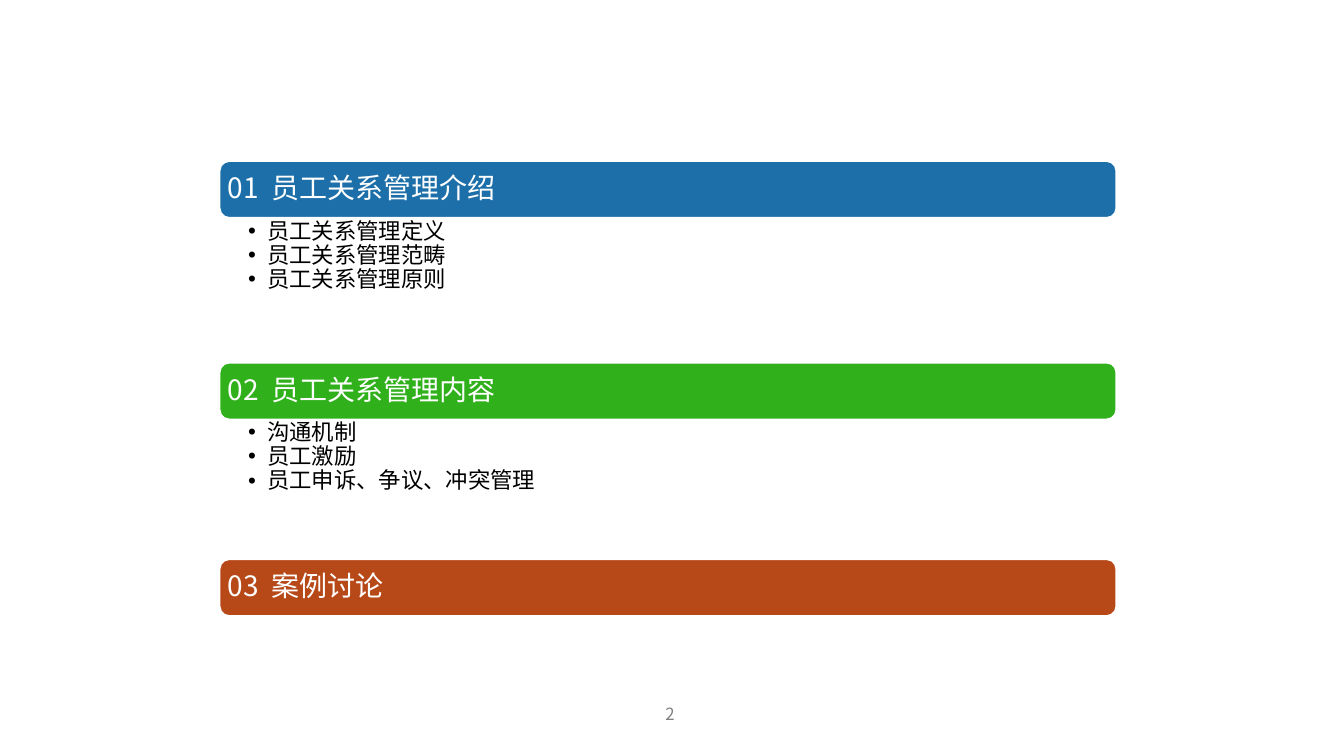
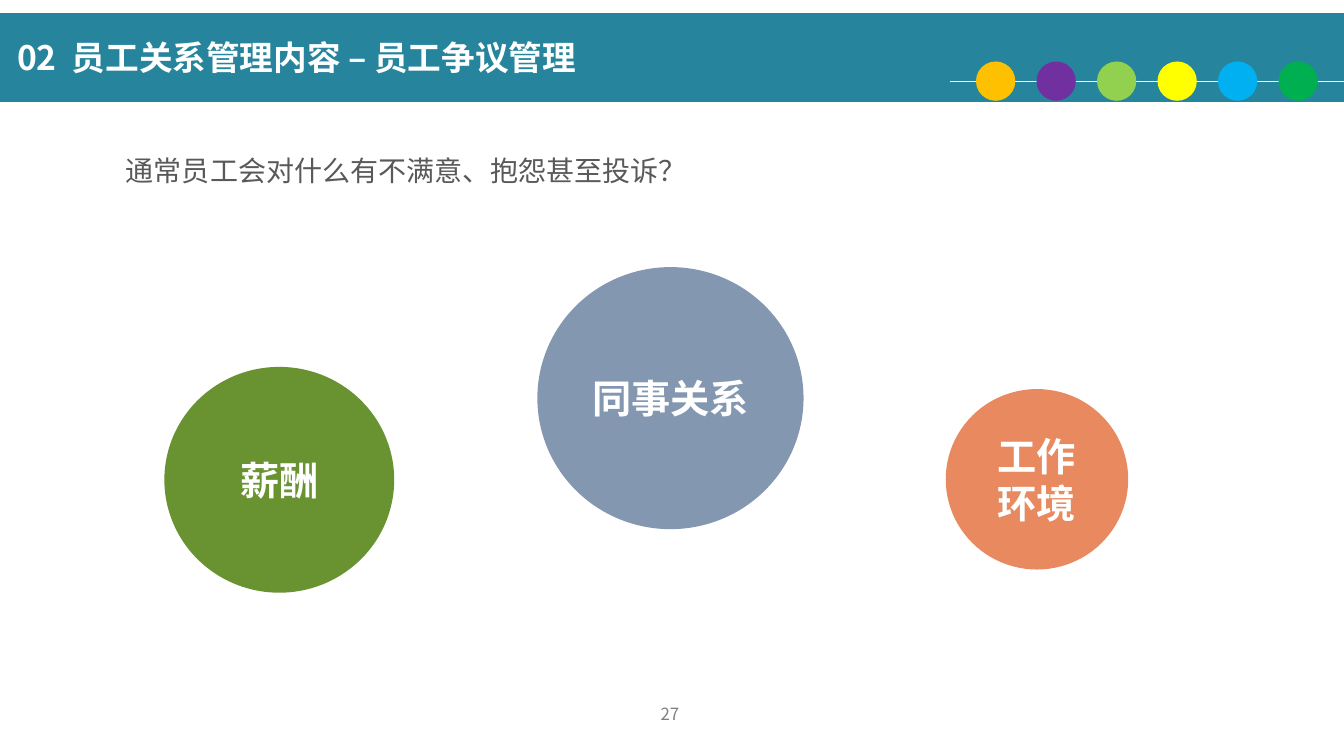
from pptx import Presentation
from pptx import util as u
from pptx.dml.color import RGBColor
from pptx.enum import shapes, text
from pptx.oxml.ns import qn
from lxml import etree

FONT = "Noto Sans CJK SC"
WHITE = RGBColor(0xFF, 0xFF, 0xFF)
BLACK = RGBColor(0x00, 0x00, 0x00)
GREY = RGBColor(0x80, 0x80, 0x80)
DARK_GREY = RGBColor(0x59, 0x59, 0x59)
TEAL = RGBColor(0x26, 0x85, 0x9D)
BLUE = RGBColor(0x1D, 0x6F, 0xA9)
GREEN = RGBColor(0x30, 0xB0, 0x1B)
RUST = RGBColor(0xB7, 0x49, 0x19)
OLIVE = RGBColor(0x69, 0x93, 0x31)
SLATE = RGBColor(0x84, 0x97, 0xB0)
CORAL = RGBColor(0xE9, 0x89, 0x60)
DOT_COLORS = [
    RGBColor(0xFF, 0xC0, 0x00), RGBColor(0x70, 0x30, 0xA0),
    RGBColor(0x92, 0xD0, 0x50), RGBColor(0xFF, 0xFF, 0x00),
    RGBColor(0x00, 0xB0, 0xF0), RGBColor(0x00, 0xB0, 0x50),
]

LEFT, CENTER = text.PP_ALIGN.LEFT, text.PP_ALIGN.CENTER
TOP, MIDDLE = text.MSO_ANCHOR.TOP, text.MSO_ANCHOR.MIDDLE

# Format values: frame, paragraph and font attributes per kind of text
HEADING = (
    {"vertical_anchor": MIDDLE, "margin_left": u.Inches(0.05)},
    {"alignment": LEFT, "line_spacing": 0.9},
    {"size": u.Pt(20), "bold": False}, WHITE)
BULLETS = (
    {"vertical_anchor": TOP, "margin_left": u.Inches(0.28),
     "margin_right": u.Inches(0.12), "margin_top": u.Inches(0.02),
     "margin_bottom": u.Inches(0.02)},
    {"alignment": LEFT, "line_spacing": 0.9,
     "space_before": u.Pt(0), "space_after": u.Pt(0)},
    {"size": u.Pt(16), "bold": False}, BLACK)
TITLE = (
    {"vertical_anchor": MIDDLE, "margin_left": u.Inches(0.17)},
    {"alignment": LEFT}, {"size": u.Pt(24), "bold": True}, WHITE)
QUESTION = (
    {"vertical_anchor": TOP}, {"alignment": LEFT},
    {"size": u.Pt(20), "bold": False}, DARK_GREY)
CIRCLE = (
    {"vertical_anchor": MIDDLE}, {"alignment": CENTER},
    {"size": u.Pt(28), "bold": True}, WHITE)
NUMBER = (
    {"vertical_anchor": TOP}, {"alignment": CENTER},
    {"size": u.Pt(12), "bold": False}, GREY)


def write(frame, lines, style):
    """Fill a text frame; the first space of a line is widened."""
    frame_format, paragraph_format, font_format, color = style
    frame.word_wrap = True
    frame.auto_size = text.MSO_AUTO_SIZE.NONE
    for name, value in frame_format.items():
        setattr(frame, name, value)
    for index, line in enumerate(lines):
        paragraph = frame.add_paragraph() if index else frame.paragraphs[0]
        for name, value in paragraph_format.items():
            setattr(paragraph, name, value)
        for piece in filter(None, line.partition(" ")):
            run = paragraph.add_run()
            run.text = piece
            run.font.name = FONT
            run.font.color.rgb = color
            for name, value in font_format.items():
                setattr(run.font, name, value)
            properties = run._r.get_or_add_rPr()
            etree.SubElement(properties, qn("a:ea"), typeface=FONT)
            if piece == " ":
                properties.set("spc", str(int(run.font.size.pt * 22)))


def add_filled(slide, kind, box, fill, outline=None):
    shape = slide.shapes.add_shape(kind, *map(u.Inches, box))
    shape.shadow.inherit = False
    shape.fill.solid()
    shape.fill.fore_color.rgb = fill
    if outline is None:
        shape.line.fill.background()
    else:
        shape.line.color.rgb = outline
        shape.line.width = u.Pt(1)
    return shape


presentation = Presentation()
presentation.slide_width = u.Inches(13.33)
presentation.slide_height = u.Inches(7.5)
agenda = presentation.slides.add_slide(presentation.slide_layouts[3])
disputes = presentation.slides.add_slide(presentation.slide_layouts[5])

# Page numbers
for slide, number in ((agenda, "2"), (disputes, "27")):
    box = slide.shapes.add_textbox(*map(u.Inches, (5.09, 6.93, 3.11, 0.52)))
    write(box.text_frame, [number], NUMBER)

# Agenda: coloured headings, each followed by its list
agenda_left, agenda_width, heading_height = 2.18, 8.89, 0.56
sections = [
    (1.6, BLUE, "01 员工关系管理介绍",
     ["员工关系管理定义", "员工关系管理范畴", "员工关系管理原则"]),
    (3.6, GREEN, "02 员工关系管理内容",
     ["沟通机制", "员工激励", "员工申诉、争议、冲突管理"]),
    (5.55, RUST, "03 案例讨论", []),
]
agenda_title = agenda.shapes.title.element
agenda_title.getparent().remove(agenda_title)
bodies = iter(list(agenda.placeholders))
for top, color, heading, items in sections:
    bar = add_filled(agenda, shapes.MSO_SHAPE.ROUNDED_RECTANGLE,
                     (agenda_left, top, agenda_width, heading_height), color, WHITE)
    write(bar.text_frame, [heading], HEADING)
    if items:
        body = next(bodies)
        body.left, body.top = u.Inches(agenda_left), u.Inches(top + heading_height)
        body.width, body.height = u.Inches(agenda_width), u.Inches(1.4)
        write(body.text_frame, items, BULLETS)
        for paragraph in body.text_frame.paragraphs:
            properties = paragraph._p.get_or_add_pPr()
            properties.set("marL", str(u.Inches(0.19)))
            properties.set("indent", str(-u.Inches(0.19)))

# Disputes: title band
title = disputes.shapes.title
title.left, title.top = 0, u.Inches(0.13)
title.width, title.height = presentation.slide_width, u.Inches(0.88)
title.fill.solid()
title.fill.fore_color.rgb = TEAL
write(title.text_frame, ["02 员工关系管理内容 – 员工争议管理"], TITLE)

# Row of dots on a thin line
line = disputes.shapes.add_connector(
    shapes.MSO_CONNECTOR.STRAIGHT, u.Inches(9.42), u.Inches(0.81),
    presentation.slide_width, u.Inches(0.81))
line.line.color.rgb = WHITE
line.line.width = u.Pt(0.5)
etree.SubElement(line.element.spPr, qn("a:effectLst"))
for index, color in enumerate(DOT_COLORS):
    add_filled(disputes, shapes.MSO_SHAPE.OVAL,
               (9.68 + 0.6 * index, 0.61, 0.39, 0.39), color)

# Question
question = disputes.shapes.add_textbox(*map(u.Inches, (1.15, 1.47, 7.48, 0.44)))
write(question.text_frame, ["通常员工会对什么有不满意、抱怨甚至投诉？"], QUESTION)

# Causes of complaints
causes = [
    ("薪酬", OLIVE, (1.63, 3.64, 2.28, 2.24)),
    ("同事关系", SLATE, (5.33, 2.65, 2.64, 2.6)),
    ("工作环境", CORAL, (9.38, 3.86, 1.81, 1.79)),
]
for cause, color, box in causes:
    circle = add_filled(disputes, shapes.MSO_SHAPE.OVAL, box, color)
    write(circle.text_frame, [cause], CIRCLE)

presentation.save("out.pptx")
